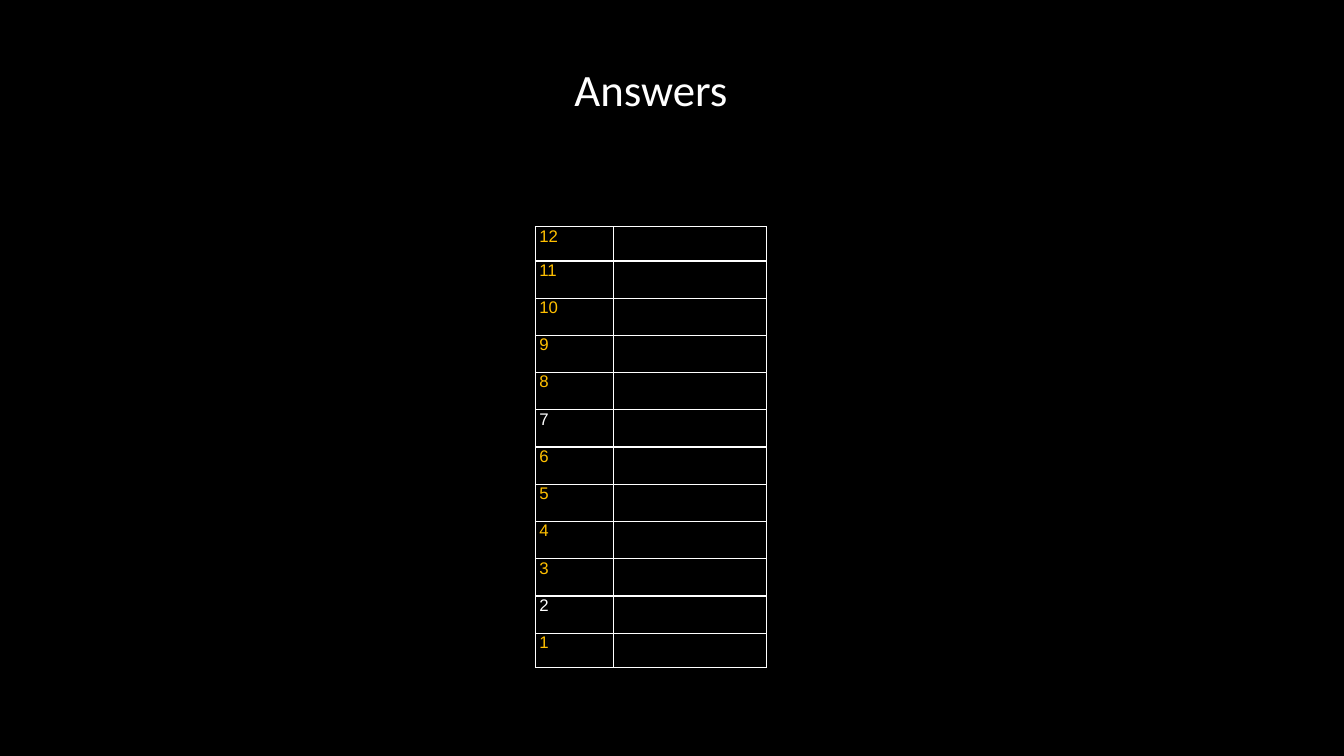
"""Build the Answers slide: a title above a numbered, blank answer grid."""
import pptx
import pptx.dml.color
import pptx.enum.shapes
import pptx.enum.text
import pptx.oxml
import pptx.oxml.ns
import pptx.util

Pt = pptx.util.Pt
COLORS = {"black": "000000", "white": "FFFFFF", "gold": "FFC000"}
SLIDE_WIDTH, SLIDE_HEIGHT = 960, 540
ANSWER_COUNT = 12
WHITE_NUMBERS = {2, 7}
COLUMN_WIDTHS = (55.5, 109.5)
END_ROW_HEIGHT, ROW_HEIGHT = 24.4, 26.6


def rgb(name):
    return pptx.dml.color.RGBColor.from_string(COLORS[name])


def fill_solid(fill, color):
    fill.solid()
    fill.fore_color.rgb = rgb(color)


def format_font(font, name, size, color):
    font.name = name
    font.size = Pt(size)
    font.color.rgb = rgb(color)


def add_backdrop(slide, color):
    sp = slide.shapes.add_shape(
        pptx.enum.shapes.MSO_SHAPE.RECTANGLE, 0, 0, Pt(SLIDE_WIDTH), Pt(SLIDE_HEIGHT))
    sp.shadow.inherit = False
    fill_solid(sp.fill, color)
    sp.line.fill.background()
    slide.shapes.title._element.addprevious(sp._element)


def add_title(slide, text, left, top, width, height):
    sp = slide.shapes.title
    sp.left, sp.top, sp.width, sp.height = map(Pt, (left, top, width, height))
    tf = sp.text_frame
    tf.text = text
    tf.word_wrap = True
    tf.vertical_anchor = pptx.enum.text.MSO_ANCHOR.MIDDLE
    p = tf.paragraphs[0]
    p.alignment = pptx.enum.text.PP_ALIGN.CENTER
    format_font(p.runs[0].font, "Calibri", 32, "white")


def set_borders(cell, color, width):
    tcPr = cell._tc.get_or_add_tcPr()
    for side in "LRTB":
        tcPr.append(pptx.oxml.parse_xml(
            f'<a:ln{side} {pptx.oxml.ns.nsdecls("a")} w="{Pt(width)}">'
            f'<a:solidFill><a:srgbClr val="{COLORS[color]}"/></a:solidFill>'
            f'</a:ln{side}>'))


def format_cell(cell):
    cell.margin_left = Pt(2.7)
    cell.margin_right = cell.margin_top = cell.margin_bottom = 0
    set_borders(cell, "white", 1)
    fill_solid(cell.fill, "black")


def add_answer_grid(slide, left, top):
    heights = [END_ROW_HEIGHT, *[ROW_HEIGHT] * (ANSWER_COUNT - 2), END_ROW_HEIGHT]
    table = slide.shapes.add_table(
        ANSWER_COUNT, len(COLUMN_WIDTHS), Pt(left), Pt(top),
        Pt(sum(COLUMN_WIDTHS)), Pt(sum(heights))).table
    table.first_row = table.horz_banding = False
    for column, width in zip(table.columns, COLUMN_WIDTHS):
        column.width = Pt(width)
    for row, height in zip(table.rows, heights):
        row.height = Pt(height)
    for cell in table.iter_cells():
        format_cell(cell)
    for i in range(ANSWER_COUNT):
        number = ANSWER_COUNT - i
        tf = table.cell(i, 0).text_frame
        tf.text = str(number)
        color = "white" if number in WHITE_NUMBERS else "gold"
        format_font(tf.paragraphs[0].runs[0].font, "Arial", 12, color)


def main():
    prs = pptx.Presentation()
    prs.slide_width, prs.slide_height = Pt(SLIDE_WIDTH), Pt(SLIDE_HEIGHT)
    slide = prs.slides.add_slide(prs.slide_layouts.get_by_name("Title Only"))
    add_backdrop(slide, "black")
    add_title(slide, "Answers", 357, 12.2, 216, 102)
    add_answer_grid(slide, 382.5, 162)
    prs.save("out.pptx")


main()
